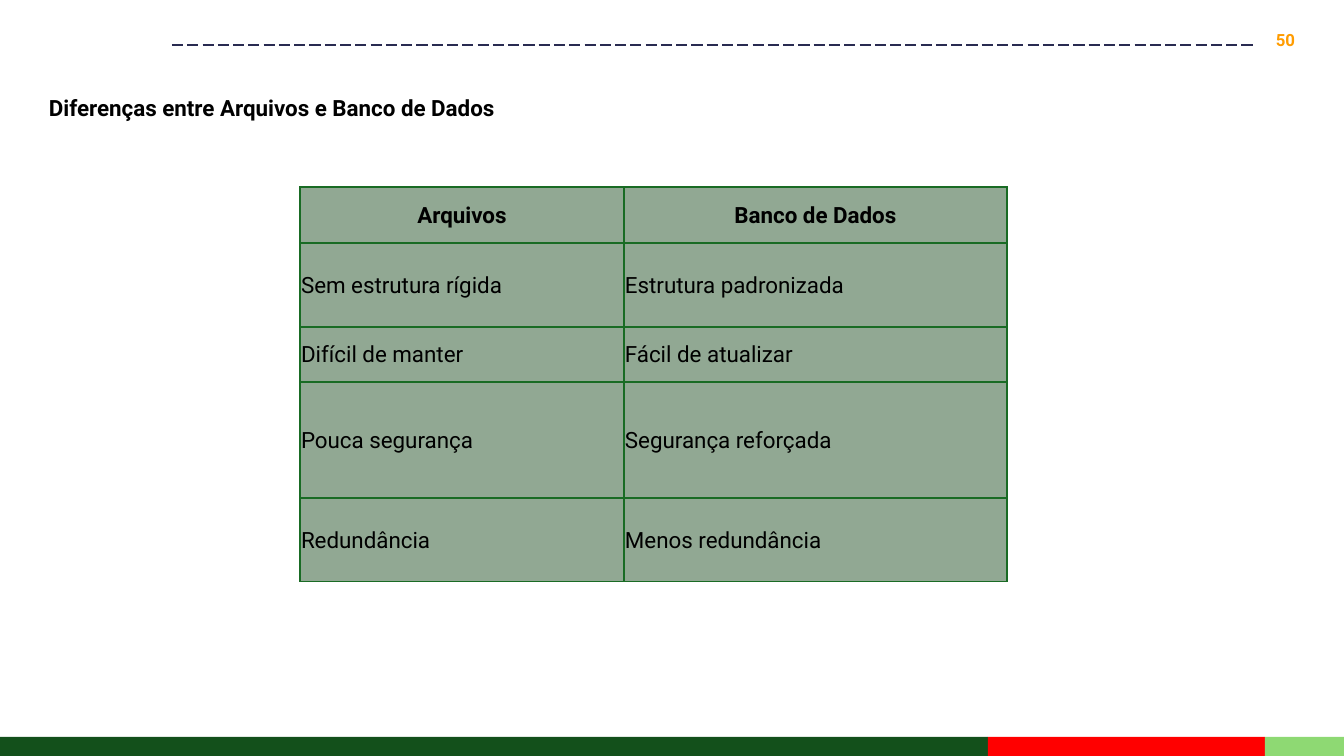
from lxml import etree
from pptx import Presentation
from pptx.dml.color import RGBColor
from pptx.enum.dml import MSO_LINE
from pptx.enum.shapes import MSO_CONNECTOR, MSO_SHAPE
from pptx.enum.text import MSO_ANCHOR, PP_ALIGN
from pptx.oxml.ns import qn
from pptx.util import Pt

LEFT, CENTER, RIGHT = PP_ALIGN.LEFT, PP_ALIGN.CENTER, PP_ALIGN.RIGHT
TOP, MIDDLE = MSO_ANCHOR.TOP, MSO_ANCHOR.MIDDLE
RECT, STRAIGHT, DASH = MSO_SHAPE.RECTANGLE, MSO_CONNECTOR.STRAIGHT, MSO_LINE.LONG_DASH

# Content
PAGE = "50"
TITLE = "Diferenças entre Arquivos e Banco de Dados"
ROWS = [
    ("Arquivos", "Banco de Dados"),
    ("Sem estrutura rígida", "Estrutura padronizada"),
    ("Difícil de manter", "Fácil de atualizar"),
    ("Pouca segurança", "Segurança reforçada"),
    ("Redundância", "Menos redundância"),
]

# Theme and layout, lengths in px
THEME = {
    "font": "Roboto", "body": 16, "small": 12,
    "text": "000000", "page": "FF9C00", "rule": "292B51",
    "cell": "91A893", "border": "196B24",
}
WIDTH, HEIGHT = 1344, 756
BANDS = [(988, "13501B"), (277, "FF0000"), (79, "8ED973")]
BAND_TOP = 737
COLS = [324, 383]
HEIGHTS = [56, 84, 55, 116, 84]
GRID_LEFT, GRID_TOP = 300, 187


def px(n):
    return round(n * 914400 / 100.8)


def color(name):
    return RGBColor.from_string(THEME.get(name, name))


def write(frame, text, size="body", ink="text", bold=False, align=LEFT, space=None):
    para = frame.paragraphs[0]
    para.alignment = align
    para.line_spacing = space
    run = para.add_run()
    run.text = text
    font = run.font
    font.name, font.size, font.bold = THEME["font"], Pt(THEME[size]), bold
    font.color.rgb = color(ink)


def add_text(slide, box, text, anchor=TOP, **style):
    frame = slide.shapes.add_textbox(*map(px, box)).text_frame
    frame.word_wrap = True
    frame.vertical_anchor = anchor
    write(frame, text, **style)


def add_bands(slide):
    left = 0
    for width, fill in BANDS:
        band = slide.shapes.add_shape(
            RECT, px(left), px(BAND_TOP), px(width), px(HEIGHT - BAND_TOP))
        band.shadow.inherit = False
        band.fill.solid()
        band.fill.fore_color.rgb = color(fill)
        band.line.fill.background()
        left += width


def add_rule(slide):
    rule = slide.shapes.add_connector(STRAIGHT, px(172), px(45), px(1254), px(45))
    rule.line.color.rgb = color("rule")
    rule.line.width = Pt(1)
    rule.line.dash_style = DASH
    etree.SubElement(rule._element.spPr, qn("a:effectLst"))


def add_border(cell):
    props = cell._tc.get_or_add_tcPr()
    for side in "LRTB":
        line = etree.SubElement(props, qn("a:ln" + side), w=str(Pt(1)))
        fill = etree.SubElement(line, qn("a:solidFill"))
        etree.SubElement(fill, qn("a:srgbClr"), val=THEME["border"])


def add_grid(slide):
    grid = slide.shapes.add_table(
        len(ROWS), len(COLS), px(GRID_LEFT), px(GRID_TOP),
        px(sum(COLS)), px(sum(HEIGHTS))).table
    for col, width in zip(grid.columns, COLS):
        col.width = px(width)
    for row, height in zip(grid.rows, HEIGHTS):
        row.height = px(height)
    for r, texts in enumerate(ROWS):
        head = r == 0
        for c, text in enumerate(texts):
            cell = grid.cell(r, c)
            cell.margin_left = cell.margin_right = cell.margin_top = px(1)
            cell.margin_bottom = 0
            cell.vertical_anchor = MIDDLE
            add_border(cell)
            cell.fill.solid()
            cell.fill.fore_color.rgb = color("cell")
            write(cell.text_frame, text, bold=head, align=CENTER if head else LEFT)


def main():
    deck = Presentation()
    deck.slide_width, deck.slide_height = px(WIDTH), px(HEIGHT)
    slide = deck.slides.add_slide(deck.slide_layouts[6])
    add_bands(slide)
    add_text(slide, (1254, 20, 51, 40), PAGE, anchor=MIDDLE,
             size="small", ink="page", bold=True, align=RIGHT)
    add_rule(slide)
    add_text(slide, (39, 76, 795, 46), TITLE, bold=True, space=1.5)
    add_grid(slide)
    deck.save("out.pptx")


if __name__ == "__main__":
    main()
